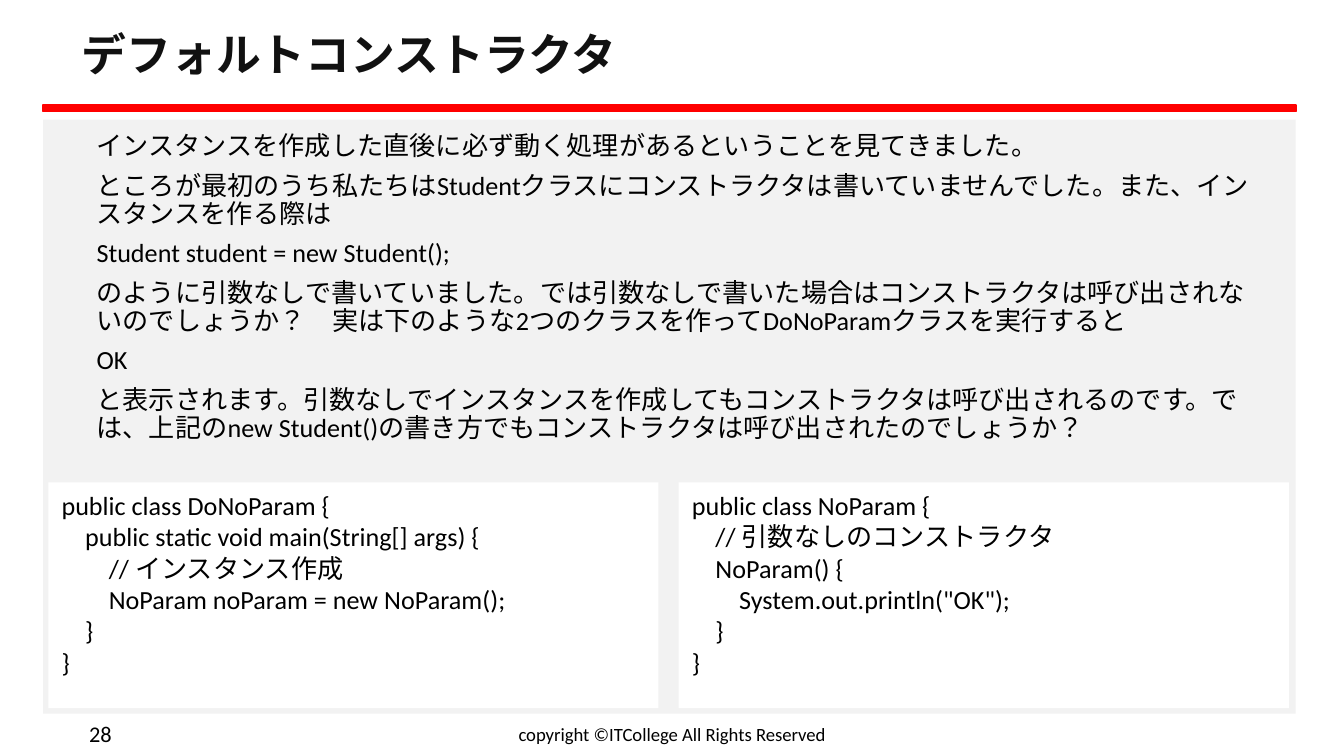
from pptx import Presentation
from pptx.dml.color import RGBColor
from pptx.enum.lang import MSO_LANGUAGE_ID
from pptx.enum.shapes import MSO_SHAPE
from pptx.enum.text import MSO_ANCHOR, PP_ALIGN
from pptx.util import Inches, Pt

RECT = MSO_SHAPE.RECTANGLE
JAPANESE = MSO_LANGUAGE_ID.JAPANESE
TOP, MIDDLE = MSO_ANCHOR.TOP, MSO_ANCHOR.MIDDLE
LEFT, CENTER, RIGHT = PP_ALIGN.LEFT, PP_ALIGN.CENTER, PP_ALIGN.RIGHT
BLACK = RGBColor(0x00, 0x00, 0x00)
TITLE_INK = RGBColor(0x11, 0x11, 0x11)
GRAY = RGBColor(0xF2, 0xF2, 0xF2)
RED = RGBColor(0xFF, 0x00, 0x00)
WHITE = RGBColor(0xFF, 0xFF, 0xFF)
FONT = "Calibri"

# Content
TITLE = "デフォルトコンストラクタ"
EXPLANATION = [
    "インスタンスを作成した直後に必ず動く処理があるということを見てきました。",
    "ところが最初のうち私たちはStudentクラスにコンストラクタは書いていませんでした。"
    "また、インスタンスを作る際は",
    "Student student = new Student();",
    "のように引数なしで書いていました。では引数なしで書いた場合はコンストラクタは"
    "呼び出されないのでしょうか？　実は下のような2つのクラスを作って"
    "DoNoParamクラスを実行すると",
    "OK",
    "と表示されます。引数なしでインスタンスを作成してもコンストラクタは呼び出されるのです。"
    "では、上記のnew Student()の書き方でもコンストラクタは呼び出されたのでしょうか？",
]
CODE_SAMPLES = [
    [
        "public class DoNoParam {",
        "    public static void main(String[] args) {",
        "        // インスタンス作成",
        "        NoParam noParam = new NoParam();",
        "    }",
        "}",
    ],
    [
        "public class NoParam {",
        "    // 引数なしのコンストラクタ",
        "    NoParam() {",
        '        System.out.println("OK");',
        "    }",
        "}",
    ],
]
COPYRIGHT = "copyright ©ITCollege All Rights Reserved"
PAGE_NUMBER = "28"

# Layout, in inches
SLIDE_WIDTH = 10
SLIDE_HEIGHT = SLIDE_WIDTH * 9 / 16
PANEL_LEFT, PANEL_WIDTH = 0.32, 9.32
TEXT_LEFT, TEXT_WIDTH = 0.51, 8.99
CODE_LEFT, CODE_TOP, CODE_WIDTH, CODE_HEIGHT, CODE_GAP = 0.36, 3.59, 4.54, 1.68, 0.15
FOOTER_TOP, FOOTER_HEIGHT = 5.32, 0.28

prs = Presentation()
prs.slide_width, prs.slide_height = Inches(SLIDE_WIDTH), Inches(SLIDE_HEIGHT)
slide = prs.slides.add_slide(prs.slide_layouts[6])


def add_panel(left, top, width, height, color):
    panel = slide.shapes.add_shape(RECT, *map(Inches, (left, top, width, height)))
    panel.shadow.inherit = False
    panel.fill.solid()
    panel.fill.fore_color.rgb = color
    panel.line.fill.background()
    return panel


def write(box, lines, size, color=BLACK, bold=False, align=LEFT, anchor=TOP,
          spacing=None, before=0, indent=0):
    frame = box.text_frame
    frame.word_wrap = True
    frame.vertical_anchor = anchor
    for i, line in enumerate(lines):
        paragraph = frame.paragraphs[0] if i == 0 else frame.add_paragraph()
        run = paragraph.add_run()
        run.text = line
        run.font.language_id = JAPANESE
        paragraph.alignment = align
        if spacing:
            paragraph.line_spacing = spacing
        if before and i:
            paragraph.space_before = Pt(before)
        if indent:
            properties = paragraph._p.get_or_add_pPr()
            properties.set("marL", str(Inches(indent)))
            properties.set("indent", "0")
        font = paragraph.font
        font.name, font.size, font.bold = FONT, Pt(size), bold
        font.color.rgb = color


def add_text(left, top, width, height, lines, size, **style):
    box = slide.shapes.add_textbox(*map(Inches, (left, top, width, height)))
    write(box, lines, size, **style)


# Gray panel and red rule
add_panel(PANEL_LEFT, 0.89, PANEL_WIDTH, 4.42, GRAY)
rule = add_panel(PANEL_LEFT, 0.78, PANEL_WIDTH, 0.05, RED)
rule.line.color.rgb = RED
rule.line.width = Pt(1)

# Title and explanation
add_text(TEXT_LEFT, 0.13, TEXT_WIDTH, 0.59, [TITLE], 24,
         color=TITLE_INK, bold=True, anchor=MIDDLE, spacing=0.9)
add_text(TEXT_LEFT, 0.94, TEXT_WIDTH, 4.29, EXPLANATION, 14,
         spacing=0.9, before=6, indent=0.11)

# Code samples side by side
for column, code in enumerate(CODE_SAMPLES):
    left = CODE_LEFT + column * (CODE_WIDTH + CODE_GAP)
    write(add_panel(left, CODE_TOP, CODE_WIDTH, CODE_HEIGHT, WHITE), code, 14)

# Footer
add_text(3.31, FOOTER_TOP, 3.38, FOOTER_HEIGHT, [COPYRIGHT], 10,
         align=CENTER, anchor=MIDDLE)
add_text(0.24, FOOTER_TOP, 0.69, FOOTER_HEIGHT, [PAGE_NUMBER], 12,
         align=RIGHT, anchor=MIDDLE)

prs.save("out.pptx")
